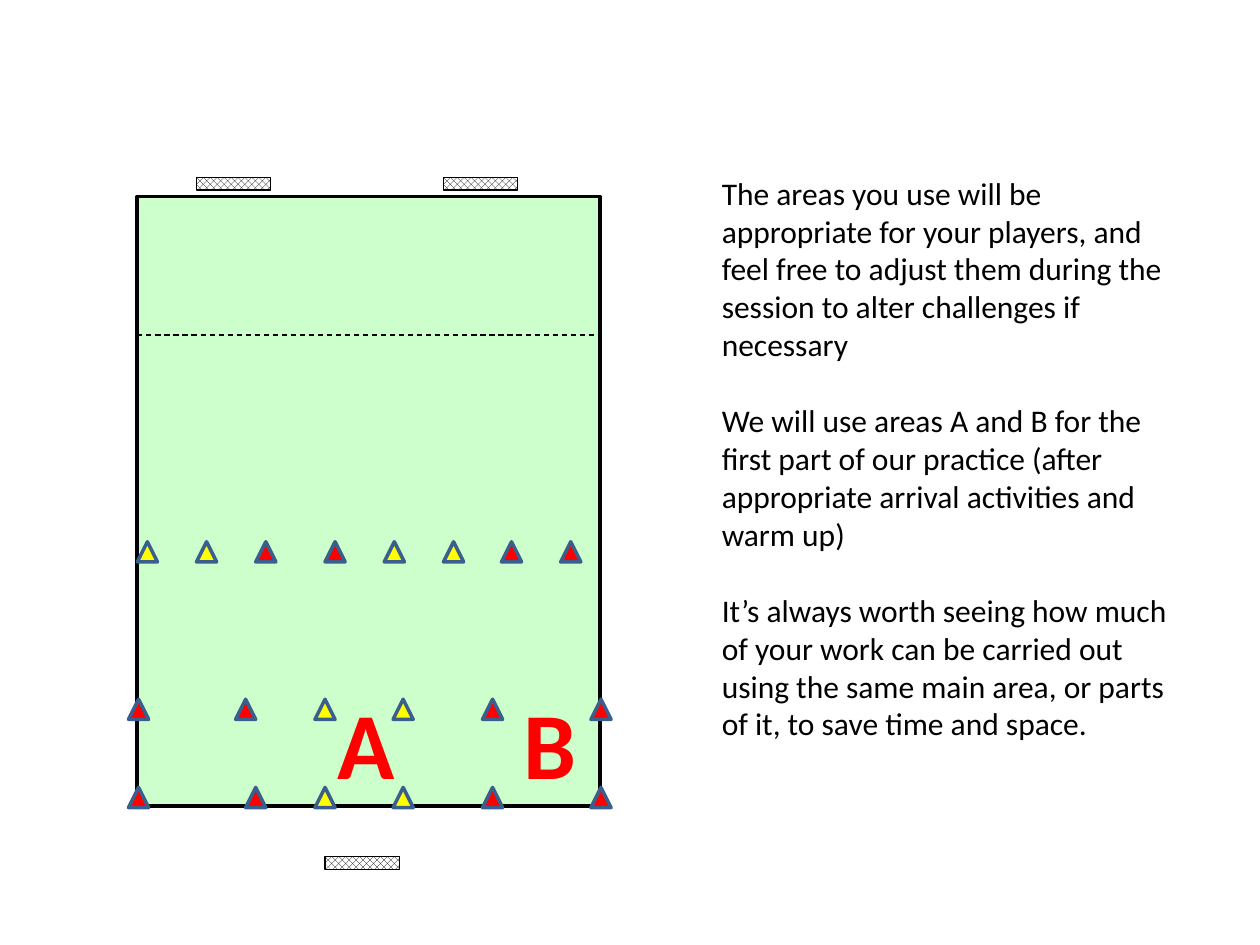
from lxml import etree
from pptx import Presentation
from pptx.dml.color import RGBColor
from pptx.enum.dml import MSO_LINE, MSO_PATTERN
from pptx.enum.shapes import MSO_CONNECTOR, MSO_SHAPE
from pptx.enum.text import MSO_AUTO_SIZE, PP_ALIGN
from pptx.oxml.ns import qn
from pptx.util import Inches, Pt

RECTANGLE = MSO_SHAPE.RECTANGLE
TRIANGLE = MSO_SHAPE.ISOSCELES_TRIANGLE
STRAIGHT = MSO_CONNECTOR.STRAIGHT
DASH = MSO_LINE.DASH
DIAMONDS = MSO_PATTERN.OUTLINED_DIAMOND
CENTER = PP_ALIGN.CENTER
GROW = MSO_AUTO_SIZE.SHAPE_TO_FIT_TEXT

FONT = "Calibri"
COLORS = {
    "black": "000000",
    "white": "FFFFFF",
    "grass": "CCFFCC",
    "yellow": "FFFF00",
    "red": "FF0000",
    "cone_edge": "3A5F8C",
}
RGB = {name: RGBColor.from_string(value) for name, value in COLORS.items()}

prs = Presentation()
prs.slide_width = Inches(10)
prs.slide_height = Inches(7.5)
slide = prs.slides.add_slide(prs.slide_layouts[6])


def add_outlined(kind, left, top, width, height, edge, weight, fill=None):
    shape = slide.shapes.add_shape(
        kind, Inches(left), Inches(top), Inches(width), Inches(height))
    shape.shadow.inherit = False
    shape.line.color.rgb = RGB[edge]
    shape.line.width = Pt(weight)
    if fill:
        shape.fill.solid()
        shape.fill.fore_color.rgb = RGB[fill]
    return shape


def add_run(paragraph, text, size, color, bold=False):
    run = paragraph.add_run()
    run.text = text
    run.font.name = FONT
    run.font.size = Pt(size)
    run.font.bold = bold
    run.font.color.rgb = RGB[color]


advice = [
    "The areas you use will be appropriate for your players, and feel free to "
    "adjust them during the session to alter challenges if necessary",
    "We will use areas A and B for the first part of our practice (after "
    "appropriate arrival activities and warm up)",
    "It’s always worth seeing how much of your work can be carried out using "
    "the same main area, or parts of it, to save time and space.",
]
guidance = slide.shapes.add_textbox(
    Inches(5.63), Inches(1.33), Inches(3.91), Inches(4.95)).text_frame
guidance.word_wrap = True
guidance.auto_size = GROW
for i, sentence in enumerate(advice):
    paragraph = guidance.paragraphs[0] if i == 0 else guidance.add_paragraph()
    if i:
        paragraph.space_before = Pt(22)
    add_run(paragraph, sentence, 18, "black")

add_outlined(RECTANGLE, 1.09, 1.56, 3.67, 4.84, "black", 2.25, "grass")

for left, top in [(1.56, 1.41), (3.52, 1.41), (2.58, 6.8)]:
    goal = add_outlined(RECTANGLE, left, top, 0.59, 0.1, "black", 0.75)
    goal.fill.patterned()
    goal.fill.pattern = DIAMONDS
    goal.fill.fore_color.rgb = RGB["black"]
    goal.fill.back_color.rgb = RGB["white"]

zone_line = slide.shapes.add_connector(
    STRAIGHT, Inches(1.09), Inches(2.66), Inches(4.77), Inches(2.66))
zone_line.line.color.rgb = RGB["black"]
zone_line.line.width = Pt(0.75)
zone_line.line.dash_style = DASH
etree.SubElement(zone_line._element.spPr, qn("a:effectLst"))

cone_rows = [
    (4.3, {"yellow": [1.09, 1.56, 3.05, 3.52], "red": [2.03, 2.58, 3.98, 4.45]}),
    (5.55, {"yellow": [2.5, 3.12], "red": [1.02, 1.87, 3.83, 4.69]}),
    (6.25, {"yellow": [2.5, 3.12], "red": [1.02, 1.95, 3.83, 4.69]}),
]
for top, cones in cone_rows:
    for color, lefts in cones.items():
        for left in lefts:
            add_outlined(TRIANGLE, left, top, 0.16, 0.16, "cone_edge", 2, color)

for area, left in [("A", 2.58), ("B", 4.06)]:
    label = slide.shapes.add_textbox(
        Inches(left), Inches(5.39), Inches(0.58), Inches(1.01)).text_frame
    label.word_wrap = False
    label.auto_size = GROW
    label.paragraphs[0].alignment = CENTER
    add_run(label.paragraphs[0], area, 54, "red", bold=True)

prs.save("out.pptx")
